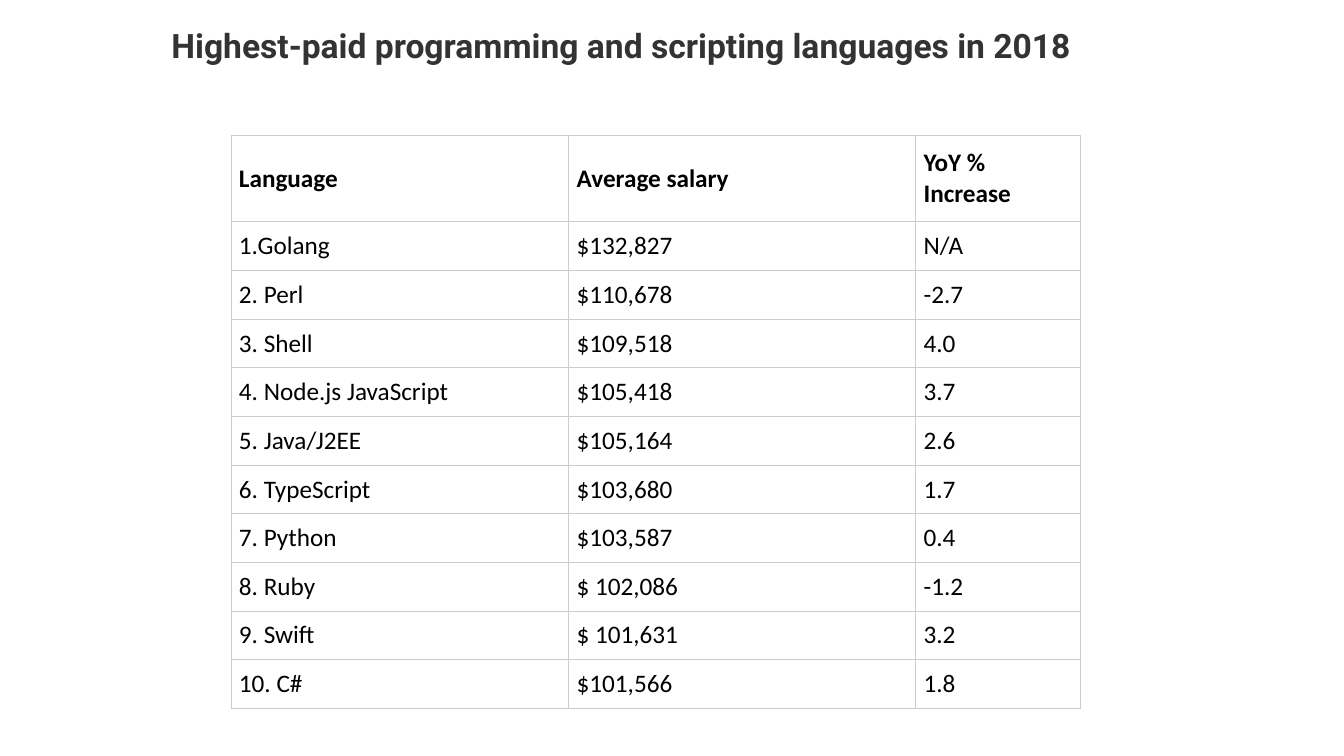
from lxml import etree
from pptx import Presentation
from pptx.dml.color import RGBColor
from pptx.enum.shapes import MSO_SHAPE
from pptx.enum.text import MSO_ANCHOR, PP_ALIGN
from pptx.oxml.ns import qn
from pptx.util import Inches, Pt

RECTANGLE = MSO_SHAPE.RECTANGLE
MIDDLE = MSO_ANCHOR.MIDDLE
LEFT = PP_ALIGN.LEFT

WHITE, BLACK, CHARCOAL, GRAY = "FFFFFF", "000000", "333333", "CCCCCC"
BORDER_WIDTH = Pt(0.6)
HEADER_HEIGHT = 0.86
COLUMN_WIDTHS = (3.35, 3.44, 1.64)

HEADING = "Highest-paid programming and scripting languages in 2018"
SALARIES = [
    ("Language", "Average salary", "YoY % Increase"),
    ("1.Golang", "$132,827", "N/A"),
    ("2. Perl", "$110,678", "-2.7"),
    ("3. Shell", "$109,518", "4.0"),
    ("4. Node.js JavaScript", "$105,418", "3.7"),
    ("5. Java/J2EE", "$105,164", "2.6"),
    ("6. TypeScript", "$103,680", "1.7"),
    ("7. Python", "$103,587", "0.4"),
    ("8. Ruby", "$ 102,086", "-1.2"),
    ("9. Swift", "$ 101,631", "3.2"),
    ("10. C#", "$101,566", "1.8"),
]


def color(hex_value):
    return RGBColor.from_string(hex_value)


def paint(part, hex_value):
    part.fill.solid()
    part.fill.fore_color.rgb = color(hex_value)


def write(text_frame, text, font_name, size, hex_value, bold):
    text_frame.word_wrap = True
    paragraph = text_frame.paragraphs[0]
    paragraph.text = text
    paragraph.alignment = LEFT
    font = paragraph.font
    font.name, font.size, font.bold = font_name, Pt(size), bold
    font.color.rgb = color(hex_value)


def set_margins(holder, horizontal, vertical):
    holder.margin_left = holder.margin_right = Inches(horizontal)
    holder.margin_top = holder.margin_bottom = Inches(vertical)
    holder.vertical_anchor = MIDDLE


def add_borders(cell, hex_value):
    properties = cell._tc.get_or_add_tcPr()
    for side in ("lnL", "lnR", "lnT", "lnB"):
        border = etree.SubElement(properties, qn(f"a:{side}"), w=str(BORDER_WIDTH))
        fill = etree.SubElement(border, qn("a:solidFill"))
        etree.SubElement(fill, qn("a:srgbClr"), val=hex_value)


def add_heading(slide, left, top, width, height):
    heading = slide.shapes.add_shape(
        RECTANGLE, Inches(left), Inches(top), Inches(width), Inches(height))
    heading.shadow.inherit = False
    paint(heading, WHITE)
    heading.line.fill.background()
    set_margins(heading.text_frame, 0, 0)
    write(heading.text_frame, HEADING, "Roboto", 24, CHARCOAL, True)


def add_salary_table(slide, left, top, width, height):
    salary_table = slide.shapes.add_table(
        len(SALARIES), len(COLUMN_WIDTHS),
        Inches(left), Inches(top), Inches(width), Inches(height)).table
    salary_table.horz_banding = False
    for column, share in zip(salary_table.columns, COLUMN_WIDTHS):
        column.width = Inches(width * share / sum(COLUMN_WIDTHS))
    language_height = (height - HEADER_HEIGHT) / (len(SALARIES) - 1)
    for row_index, entries in enumerate(SALARIES):
        is_header = row_index == 0
        row = salary_table.rows[row_index]
        row.height = Inches(HEADER_HEIGHT if is_header else language_height)
        for cell, entry in zip(row.cells, entries):
            set_margins(cell, 0.08, 0.04)
            add_borders(cell, GRAY)
            paint(cell, WHITE)
            write(cell.text_frame, entry, "Calibri", 18, BLACK, is_header)


def main():
    presentation = Presentation()
    presentation.slide_width = Inches(13.33)
    presentation.slide_height = Inches(7.5)
    slide = presentation.slides.add_slide(presentation.slide_layouts[6])
    add_salary_table(slide, 2.29, 1.34, 8.43, 5.69)
    add_heading(slide, 1.7, 0.25, 10.2, 0.4)
    presentation.save("out.pptx")


if __name__ == "__main__":
    main()
